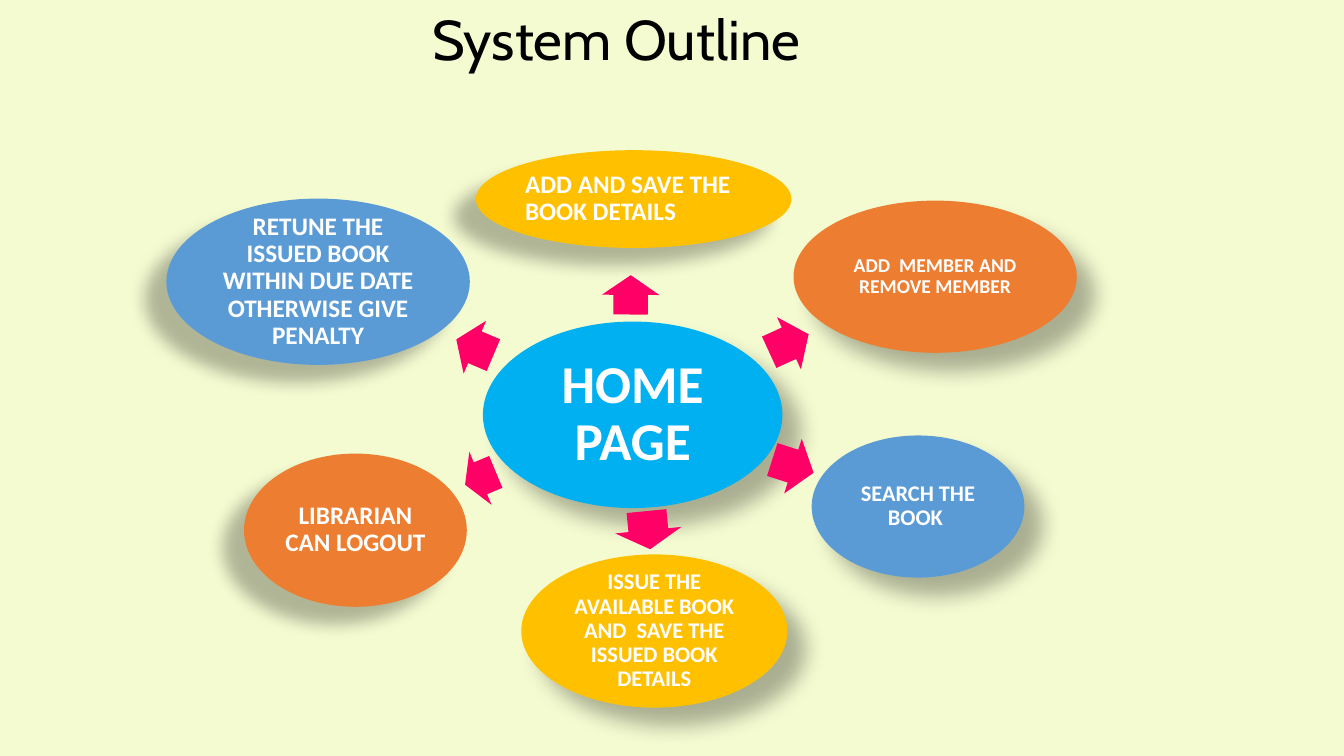
import pptx
import pptx.util
import pptx.dml.color
import pptx.enum.shapes
import pptx.enum.text
import pptx.oxml.ns
from lxml import etree

Inches = pptx.util.Inches
RGBColor = pptx.dml.color.RGBColor
SHAPE = pptx.enum.shapes.MSO_SHAPE
ALIGN = pptx.enum.text.PP_ALIGN
ANCHOR = pptx.enum.text.MSO_ANCHOR

CREAM = RGBColor(0xF4, 0xFB, 0xD1)
BLACK = RGBColor(0x00, 0x00, 0x00)
WHITE = RGBColor(0xFF, 0xFF, 0xFF)
SKY = RGBColor(0x00, 0xB0, 0xF0)
AMBER = RGBColor(0xFF, 0xC0, 0x00)
ORANGE = RGBColor(0xED, 0x7D, 0x31)
BLUE = RGBColor(0x5B, 0x9B, 0xD5)
PINK = RGBColor(0xFF, 0x00, 0x66)

# Shadows: opacity %, blur pt, distance pt, direction in degrees
FALLS_RIGHT = (30, 15, 18, 45)
FALLS_LEFT = (28, 11.8, 19.7, 141)

# Arrow box, arrow rotation, ellipse box, fill, shadow, text, size, inset, alignment
FEATURES = [
    ((6.06, 2.64, 0.39, 0.57), 270.3, (4.72, 1.49, 3.13, 0.97), AMBER, FALLS_LEFT,
     "ADD AND SAVE THE BOOK DETAILS", 18, 0.03, ALIGN.LEFT),
    ((7.61, 3.12, 0.43, 0.57), 335.4, (7.87, 1.99, 2.81, 1.51), ORANGE, FALLS_RIGHT,
     "ADD  MEMBER AND REMOVE MEMBER", 14, 0.02, ALIGN.CENTER),
    ((7.65, 4.34, 0.43, 0.57), 17.8, (8.05, 4.32, 2.11, 1.41), BLUE, FALLS_RIGHT,
     "SEARCH THE BOOK ", 16, 0.02, ALIGN.CENTER),
    ((6.24, 4.93, 0.38, 0.66), 84.4, (5.17, 5.5, 2.64, 1.52), AMBER, FALLS_RIGHT,
     "ISSUE THE AVAILABLE BOOK AND  SAVE THE ISSUED BOOK DETAILS", 16, 0.02, ALIGN.CENTER),
    ((4.6, 4.46, 0.33, 0.57), 157.3, (2.42, 4.5, 2.21, 1.52), ORANGE, FALLS_LEFT,
     "LIBRARIAN CAN LOGOUT", 18, 0.03, ALIGN.CENTER),
    ((4.51, 3.16, 0.4, 0.57), 203, (1.65, 1.97, 3.01, 1.65), BLUE, FALLS_LEFT,
     "RETUNE THE ISSUED BOOK WITHIN DUE DATE OTHERWISE GIVE PENALTY", 18, 0.03, ALIGN.CENTER),
]


def write_text(frame, text, *, size, font="Calibri", color=WHITE, bold=True,
               align=ALIGN.CENTER, spacing=0.9):
    frame.word_wrap = True
    paragraph = frame.paragraphs[0]
    paragraph.alignment = align
    paragraph.line_spacing = spacing
    run = paragraph.add_run()
    run.text = text
    run.font.size = pptx.util.Pt(size)
    run.font.name = font
    run.font.bold = bold
    run.font.color.rgb = color


def add_filled(slide, kind, box, color):
    figure = slide.shapes.add_shape(kind, *map(Inches, box))
    figure.fill.solid()
    figure.fill.fore_color.rgb = color
    figure.line.fill.background()
    figure.shadow.inherit = False
    return figure


def cast_shadow(figure, opacity, blur, distance, direction):
    qn = pptx.oxml.ns.qn
    effects = figure.element.spPr.find(qn("a:effectLst"))
    shadow = etree.SubElement(
        effects, qn("a:outerShdw"), blurRad=str(pptx.util.Pt(blur)),
        dist=str(pptx.util.Pt(distance)), dir=str(direction * 60000),
        algn="ctr", rotWithShape="0")
    tint = etree.SubElement(shadow, qn("a:srgbClr"), val=str(BLACK))
    etree.SubElement(tint, qn("a:alpha"), val=str(opacity * 1000))


def add_ellipse(slide, box, color, shadow, text, size, inset, align=ALIGN.CENTER):
    ellipse = add_filled(slide, SHAPE.OVAL, box, color)
    cast_shadow(ellipse, *shadow)
    frame = ellipse.text_frame
    frame.vertical_anchor = ANCHOR.MIDDLE
    frame.margin_left = frame.margin_right = Inches(inset)
    frame.margin_top = frame.margin_bottom = Inches(inset)
    write_text(frame, text, size=size, align=align)


def add_arrow(slide, box, rotation):
    arrow = add_filled(slide, SHAPE.RIGHT_ARROW, box, PINK)
    arrow.adjustments[0] = 0.6
    arrow.adjustments[1] = 0.5
    arrow.rotation = rotation


def main():
    deck = pptx.Presentation()
    deck.slide_width, deck.slide_height = Inches(13.33), Inches(7.5)
    slide = deck.slides.add_slide(deck.slide_layouts[6])
    slide.background.fill.solid()
    slide.background.fill.fore_color.rgb = CREAM

    # Title
    title = slide.shapes.add_textbox(Inches(-0.08), Inches(0), Inches(12.38), Inches(0.77))
    write_text(title.text_frame, "System Outline", size=40, font="Cabin",
               color=BLACK, bold=False, spacing=1.0)

    # Hub
    add_ellipse(slide, (4.79, 3.19, 2.97, 1.85), SKY, FALLS_RIGHT, "HOME PAGE", 38, 0.05)

    # Features around the hub, each with its arrow
    for arrow_box, rotation, *ellipse in FEATURES:
        add_arrow(slide, arrow_box, rotation)
        add_ellipse(slide, *ellipse)

    deck.save("out.pptx")


if __name__ == "__main__":
    main()
